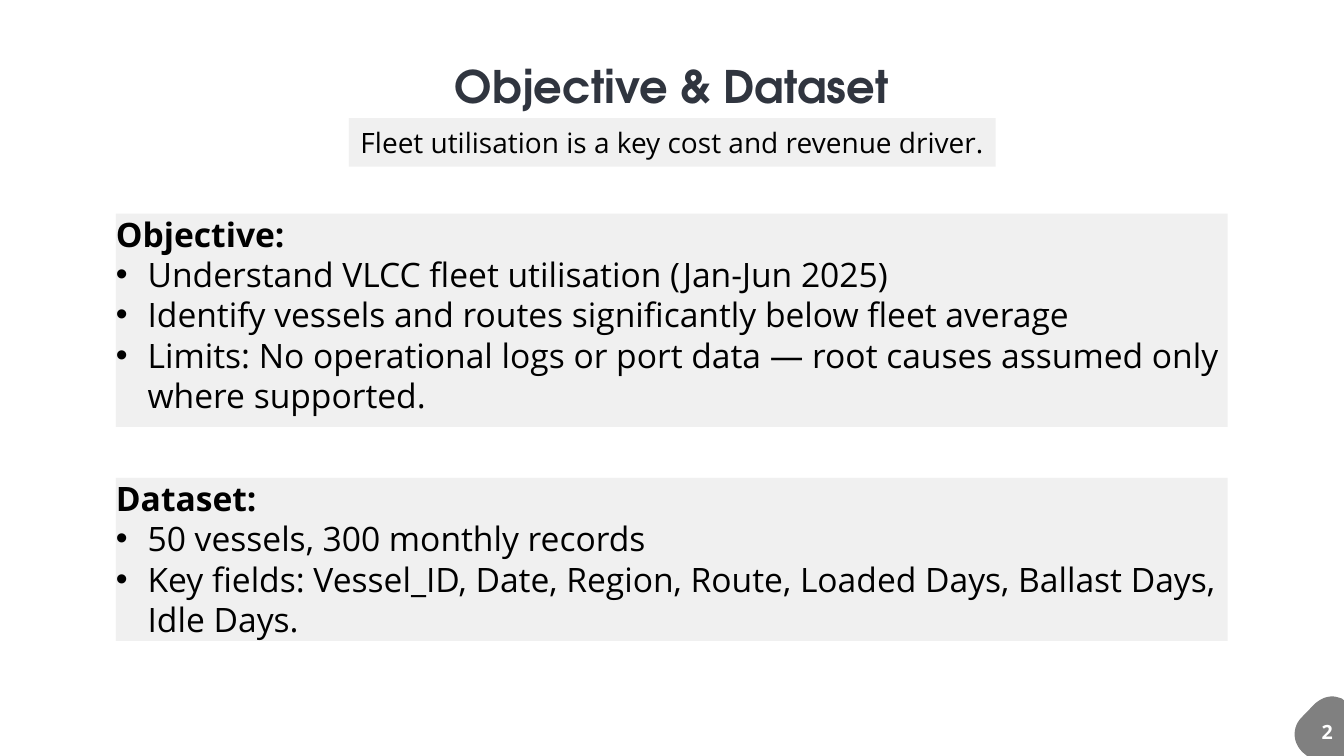
from lxml import etree
from pptx import Presentation
from pptx.dml.color import RGBColor
from pptx.enum.shapes import MSO_SHAPE
from pptx.enum.text import MSO_ANCHOR, MSO_AUTO_SIZE, PP_ALIGN
from pptx.oxml.ns import qn
from pptx.util import Cm, Pt

CENTER, LEFT = PP_ALIGN.CENTER, PP_ALIGN.LEFT
TOP, MIDDLE = MSO_ANCHOR.TOP, MSO_ANCHOR.MIDDLE
NO_AUTOFIT = MSO_AUTO_SIZE.NONE
RECTANGLE = MSO_SHAPE.RECTANGLE
HEADING_FONT, BODY_FONT = "TeX Gyre Adventor", "Open Sans"
BLACK, WHITE, INK = "000000", "FFFFFF", "30353F"
PANEL_GREY, BADGE_GREY = "CFCFCF", "808080"
BULLET_INDENT = Cm(0.8)


def paint(shape, color, opacity=100):
    shape.fill.solid()
    shape.fill.fore_color.rgb = RGBColor.from_string(color)
    shape.line.fill.background()
    if opacity < 100:
        tint = shape.fill._xPr.find(qn("a:solidFill"))[0]
        etree.SubElement(tint, qn("a:alpha"), val=str(opacity * 1000))


def write(shape, lines, size, color, font=BODY_FONT, bold=False, align=LEFT, anchor=TOP):
    frame = shape.text_frame
    frame.auto_size = NO_AUTOFIT
    frame.word_wrap = True
    frame.vertical_anchor = anchor
    frame.margin_left = frame.margin_right = 0
    frame.margin_top = frame.margin_bottom = 0
    frame.text = "\n".join(lines)
    for paragraph in frame.paragraphs:
        paragraph.alignment = align
        paragraph.space_before = Pt(0)
        paragraph.font.name = font
        paragraph.font.size = Pt(size)
        paragraph.font.bold = bold
        paragraph.font.color.rgb = RGBColor.from_string(color)
    return frame.paragraphs


deck = Presentation()
deck.slide_width, deck.slide_height = Cm(33.87), Cm(19.05)
slide = deck.slides.add_slide(deck.slide_layouts.get_by_name("Two Content"))
title, objective, dataset = slide.placeholders

# Title
title.left, title.top, title.width, title.height = Cm(10.4), Cm(1.47), Cm(13.07), Cm(1.37)
write(title, ["Objective & Dataset"], 32, INK, HEADING_FONT, True, CENTER)

# Key message
message = slide.shapes.add_shape(RECTANGLE, Cm(8.79), Cm(2.98), Cm(16.3), Cm(1.22))
message.shadow.inherit = False
paint(message, PANEL_GREY, 30)
write(message, ["Fleet utilisation is a key cost and revenue driver."], 20, BLACK,
      align=CENTER, anchor=MIDDLE)

# Objective and dataset panels: a bold heading above bullets
panels = [
    (objective, 5.38, 5.38, [
        "Objective:",
        "Understand VLCC fleet utilisation (Jan-Jun 2025)",
        "Identify vessels and routes significantly below fleet average",
        "Limits: No operational logs or port data — root causes assumed only where supported.",
    ]),
    (dataset, 12.04, 4.11, [
        "Dataset:",
        "50 vessels, 300 monthly records",
        "Key fields: Vessel_ID, Date, Region, Route, Loaded Days, Ballast Days, Idle Days.",
    ]),
]
for panel, top, height, lines in panels:
    panel.left, panel.top, panel.width, panel.height = Cm(2.92), Cm(top), Cm(28.02), Cm(height)
    paint(panel, PANEL_GREY, 30)
    heading, *bullets = write(panel, lines, 24, BLACK)
    heading.font.bold = True
    heading_props = heading._p.get_or_add_pPr()
    heading_props.set("marL", "0")
    heading_props.set("indent", "0")
    heading_props.insert_element_before(
        heading_props.makeelement(qn("a:buNone")), "a:tabLst", "a:defRPr", "a:extLst")
    for bullet in bullets:
        bullet_props = bullet._p.get_or_add_pPr()
        bullet_props.set("marL", str(BULLET_INDENT))
        bullet_props.set("indent", str(-BULLET_INDENT))
        bullet_props.insert_element_before(
            bullet_props.makeelement(qn("a:buChar"), char="•"),
            "a:tabLst", "a:defRPr", "a:extLst")

# Page badge: rounded diamond cut by the slide corner, one entry per edge
badge_start = (33.58, 17.55)
badge_edges = [
    [(33.66, 17.55), (33.73, 17.58), (33.81, 17.6)],
    [(33.87, 17.65)],
    [(33.87, 19.05)],
    [(32.94, 19.05)],
    [(32.82, 18.95)],
    [(32.56, 18.69), (32.56, 18.31), (32.82, 18.06)],
    [(33.12, 17.75)],
    [(33.25, 17.63), (33.4, 17.55), badge_start],
]
outline = [badge_start]
for edge in badge_edges:
    if len(edge) == 1:
        outline += edge
        continue
    curve = list(zip(outline[-1], *edge))
    for step in range(1, 13):
        t = step / 12
        weights = ((1 - t) ** 3, 3 * t * (1 - t) ** 2, 3 * t ** 2 * (1 - t), t ** 3)
        outline.append(tuple(sum(w * c for w, c in zip(weights, axis)) for axis in curve))
points = [(Cm(x), Cm(y)) for x, y in outline]
builder = slide.shapes.build_freeform(*points[0])
builder.add_line_segments(points[1:], close=True)
badge = builder.convert_to_shape()
badge.shadow.inherit = False
paint(badge, BADGE_GREY)

# Page number
page_number = slide.shapes.add_textbox(Cm(33.07), Cm(18.01), Cm(0.76), Cm(0.86))
write(page_number, ["2"], 14, WHITE, bold=True, align=CENTER, anchor=MIDDLE)

deck.save("out.pptx")
